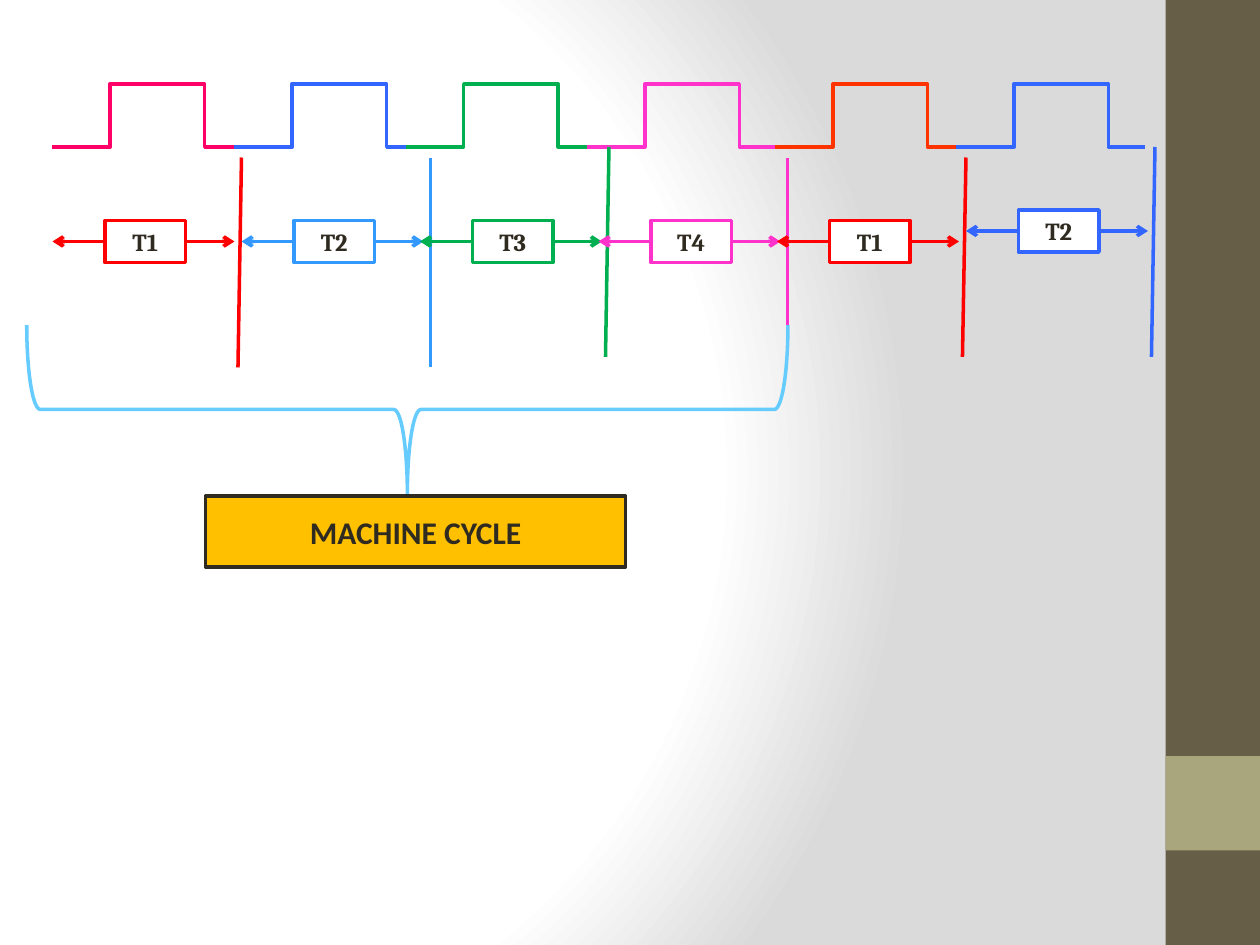
import pptx
import pptx.dml.color
import pptx.enum.shapes
import pptx.enum.text
import pptx.oxml
import pptx.oxml.ns
import pptx.util

Pt = pptx.util.Pt
SHAPE = pptx.enum.shapes.MSO_SHAPE
CONNECTOR = pptx.enum.shapes.MSO_CONNECTOR

COLORS = {
    "white": "FFFFFF", "grey": "DADADA", "olive": "675E47", "sage": "A9A57C",
    "ink": "2F2B20", "amber": "FFC000", "sky": "66CCFF", "rose": "FF0066",
    "blue": "3366FF", "azure": "3399FF", "green": "00B050", "pink": "FF33CC",
    "orange": "FF3300", "red": "FF0000",
}

LOW, HIGH = 84, 48  # clock levels
LINE_WIDTH = 2

# left edge, colour
PULSES = [(30, "rose"), (134, "blue"), (232, "green"),
          (335.5, "pink"), (443, "orange"), (546.5, "blue")]

# label, colour, box left, box top, boundary top, boundary bottom, boundary lean
STATES = [
    ("T1", "red", 60, 126, 90, 210, 2),
    ("T2", "azure", 168, 126, 90, 210, 0),
    ("T3", "green", 270, 126, 84, 204, 2),
    ("T4", "pink", 372, 126, 90, 186, 0),
    ("T1", "red", 474, 126, 90, 204, 2),
    ("T2", "blue", 582, 120, 84, 204, 2),
]
BOX_WIDTH, BOX_HEIGHT = 46, 24


def rgb(color):
    return pptx.dml.color.RGBColor.from_string(COLORS[color])


def set_background(slide):
    """Fill the slide with a circular white-to-grey gradient."""
    slide.background.fill.solid()
    properties = slide.element.xpath("p:cSld/p:bg/p:bgPr")[0]
    stops = "".join(
        f'<a:gs pos="{position}"><a:srgbClr val="{COLORS[color]}"/></a:gs>'
        for position, color in ((0, "white"), (75000, "white"), (100000, "grey")))
    properties[0] = pptx.oxml.parse_xml(
        f'<a:gradFill {pptx.oxml.ns.nsdecls("a")} rotWithShape="1">'
        f'<a:gsLst>{stops}</a:gsLst><a:path path="circle">'
        '<a:fillToRect l="20000" t="50000" r="100000" b="50000"/>'
        '</a:path></a:gradFill>')


def add_block(slide, kind, frame, fill=None, line=None):
    block = slide.shapes.add_shape(kind, *map(Pt, frame))
    block.shadow.inherit = False
    if fill:
        block.fill.solid()
        block.fill.fore_color.rgb = rgb(fill)
    else:
        block.fill.background()
    if line:
        block.line.color.rgb = rgb(line)
        block.line.width = Pt(LINE_WIDTH)
    else:
        block.line.fill.background()
    return block


def add_label(block, text, font_name, size):
    text_frame = block.text_frame
    text_frame.word_wrap = True
    text_frame.vertical_anchor = pptx.enum.text.MSO_ANCHOR.MIDDLE
    paragraph = text_frame.paragraphs[0]
    paragraph.alignment = pptx.enum.text.PP_ALIGN.CENTER
    run = paragraph.add_run()
    run.text = text
    font_format = {"name": font_name, "size": Pt(size), "bold": True}
    for attribute, value in font_format.items():
        setattr(run.font, attribute, value)
    run.font.color.rgb = rgb("ink")


def add_line(slide, ends, color, kind=CONNECTOR.STRAIGHT, arrow=False):
    line = slide.shapes.add_connector(kind, *map(Pt, ends))
    line.line.color.rgb = rgb(color)
    line.line.width = Pt(LINE_WIDTH)
    namespace = pptx.oxml.ns.nsdecls("a")
    if arrow:
        line.line._get_or_add_ln().append(
            pptx.oxml.parse_xml(f'<a:tailEnd {namespace} type="arrow"/>'))
    line._element.spPr.append(pptx.oxml.parse_xml(f"<a:effectLst {namespace}/>"))


def add_pulse(slide, left, color):
    peak = left + 66
    add_line(slide, (left, LOW, peak, HIGH), color, CONNECTOR.ELBOW)
    add_line(slide, (peak, HIGH, peak + 42, LOW), color, CONNECTOR.ELBOW)


def add_state(slide, label, color, left, top, start, end, lean):
    """Draw one T-state: its closing boundary, its span arrows and its box."""
    boundary = left + 78
    middle = top + BOX_HEIGHT / 2
    add_line(slide, (boundary, start, boundary - lean, end), color)
    add_line(slide, (left + 36, middle, left + 74, middle), color, arrow=True)
    add_line(slide, (left + 9, middle, left - 30, middle), color, arrow=True)
    box = add_block(slide, SHAPE.RECTANGLE, (left, top, BOX_WIDTH, BOX_HEIGHT),
                    "white", color)
    add_label(box, label, "Cambria", 14)


def add_machine_cycle(slide):
    brace = add_block(slide, SHAPE.RIGHT_BRACE, (184.5, 16.5, 96.5, 435), line="sky")
    brace.rotation = 90
    brace.adjustments[0] = 0.08
    brace.adjustments[1] = 0.5
    caption = add_block(slide, SHAPE.RECTANGLE, (117.5, 283.5, 240, 40.5),
                        "amber", "ink")
    add_label(caption, "MACHINE CYCLE", "Calibri", 18)


def main():
    deck = pptx.Presentation()
    deck.slide_width, deck.slide_height = Pt(720), Pt(540)
    slide = deck.slides.add_slide(deck.slide_layouts[6])
    set_background(slide)
    add_block(slide, SHAPE.RECTANGLE, (666, 0, 54, 540), "olive")
    add_block(slide, SHAPE.RECTANGLE, (666, 432, 54, 54), "sage")
    for pulse in PULSES:
        add_pulse(slide, *pulse)
    for state in STATES:
        add_state(slide, *state)
    add_machine_cycle(slide)
    deck.save("out.pptx")


if __name__ == "__main__":
    main()
